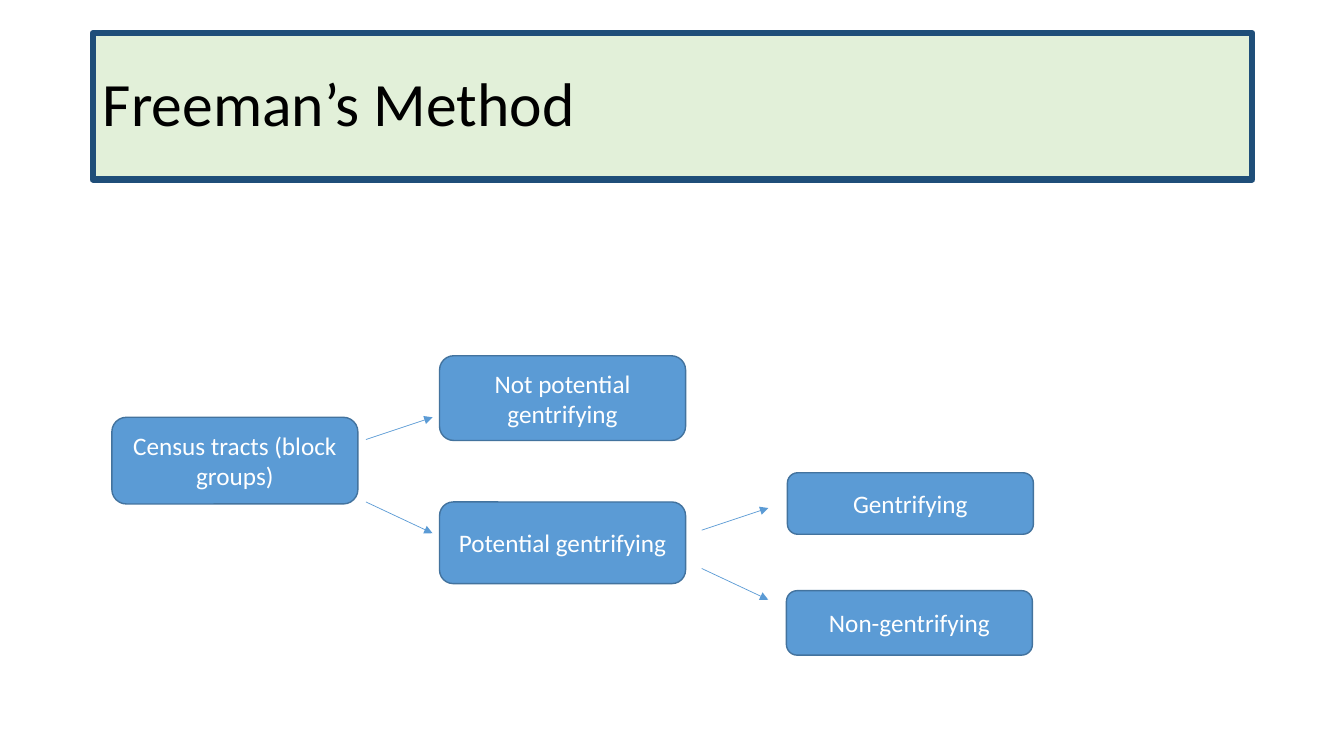
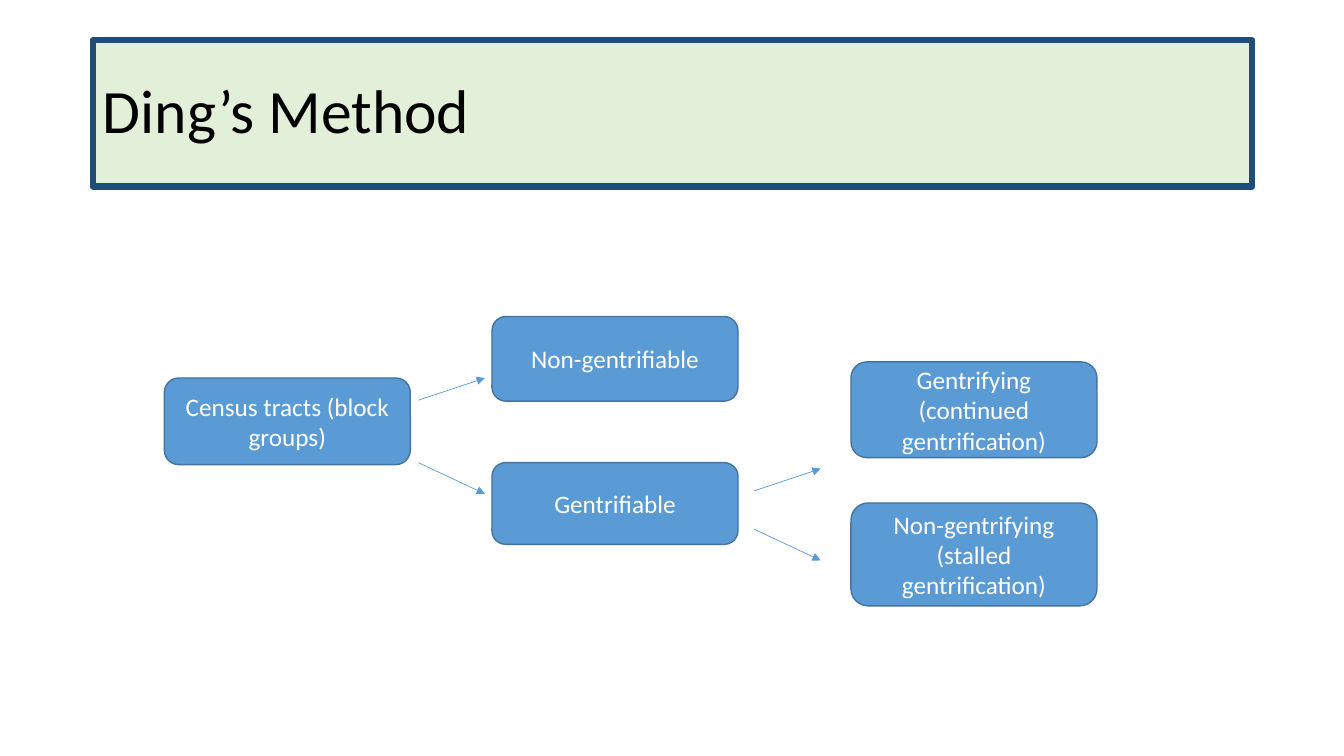
from pptx import Presentation
from pptx import util as u
from pptx.dml.color import RGBColor
from pptx.enum import shapes, text
from pptx.oxml import ns
from lxml import etree

COLORS = {
    "title_fill": "E2F0D9",
    "title_line": "1F4E79",
    "title_text": "000000",
    "box_fill": "5B9BD5",
    "box_line": "43739E",
    "box_text": "FFFFFF",
    "arrow": "5B9BD5",
}
FONT = "Calibri"
BOX_WIDTH = 2.44
BRANCH_LEFT = 3.25
# Upper and lower boxes of the first split: top and height within the tree
BRANCH_ROWS = [(0, 0.84), (1.45, 0.81)]
ROOT_TOP, ROOT_HEIGHT = 0.61, 0.86
# Each fork: left, start of the rising arrow, start of the falling arrow
FORKS = [(2.52, 0.83, 1.45), (5.85, 1.73, 2.11)]
ARROW_WIDTH, ARROW_RISE, ARROW_FALL = 0.66, -0.22, 0.31


def color(name):
    return RGBColor.from_string(COLORS[name])


class Deck:
    def __init__(self):
        self.presentation = Presentation()
        self.presentation.slide_width = u.Inches(13.33)
        self.presentation.slide_height = u.Inches(7.5)
        self.slide = None

    def paint(self, shape, role, line_width):
        shape.fill.solid()
        shape.fill.fore_color.rgb = color(role + "_fill")
        shape.line.color.rgb = color(role + "_line")
        shape.line.width = u.Pt(line_width)

    def set_text(self, shape, lines, role, size, alignment):
        frame = shape.text_frame
        frame.text = "\n".join(lines)
        frame.word_wrap = True
        frame.auto_size = text.MSO_AUTO_SIZE.NONE
        frame.vertical_anchor = text.MSO_ANCHOR.MIDDLE
        for paragraph in frame.paragraphs:
            paragraph.alignment = alignment
            paragraph.font.name = FONT
            paragraph.font.size = u.Pt(size)
            paragraph.font.color.rgb = color(role + "_text")

    def add_slide(self, title, top):
        """Start a slide with its title band."""
        layout = self.presentation.slide_layouts.get_by_name("Title Only")
        self.slide = self.presentation.slides.add_slide(layout)
        band = self.slide.shapes.title
        band.left, band.top = u.Inches(0.92), u.Inches(top)
        band.width, band.height = u.Inches(11.5), u.Inches(1.45)
        self.paint(band, "title", 4.5)
        self.set_text(band, [title], "title", 44, text.PP_ALIGN.LEFT)
        band.text_frame.paragraphs[0].line_spacing = 0.9

    def add_box(self, lines, left, top, height):
        box = self.slide.shapes.add_shape(
            shapes.MSO_SHAPE.ROUNDED_RECTANGLE, u.Inches(left), u.Inches(top),
            u.Inches(BOX_WIDTH), u.Inches(height))
        box.shadow.inherit = False
        self.paint(box, "box", 1)
        self.set_text(box, lines, "box", 18, text.PP_ALIGN.CENTER)

    def add_arrow(self, left, top, rise):
        arrow = self.slide.shapes.add_connector(
            shapes.MSO_CONNECTOR.STRAIGHT, u.Inches(left), u.Inches(top),
            u.Inches(left + ARROW_WIDTH), u.Inches(top + rise))
        arrow.line.color.rgb = color("arrow")
        arrow.line.width = u.Pt(0.5)
        properties = arrow.element.spPr
        line = properties.find(ns.qn("a:ln"))
        etree.SubElement(line, ns.qn("a:tailEnd"), type="triangle")
        etree.SubElement(properties, ns.qn("a:effectLst"))

    def add_tree(self, left, top, branches, outcomes):
        """Draw census tracts splitting into branches, the lower into outcomes.

        Outcomes are (lines, left, top, height), placed within the tree.
        """
        self.add_box(["Census tracts (block groups)"],
                     left, top + ROOT_TOP, ROOT_HEIGHT)
        for label, (row_top, height) in zip(branches, BRANCH_ROWS):
            self.add_box([label], left + BRANCH_LEFT, top + row_top, height)
        for lines, box_left, box_top, height in outcomes:
            self.add_box(lines, left + box_left, top + box_top, height)
        for fork_left, upper, lower in FORKS:
            self.add_arrow(left + fork_left, top + upper, ARROW_RISE)
            self.add_arrow(left + fork_left, top + lower, ARROW_FALL)


def main():
    deck = Deck()

    deck.add_slide("Freeman’s Method", 0.33)
    deck.add_tree(
        1.11, 3.53, ["Not potential gentrifying", "Potential gentrifying"],
        [(["Gentrifying"], 6.7, 1.16, 0.61),
         (["Non-gentrifying"], 6.69, 2.33, 0.64)])

    deck.add_slide("Ding’s Method", 0.4)
    deck.add_tree(
        1.63, 3.14, ["Non-gentrifiable", "Gentrifiable"],
        [(["Gentrifying", "(continued gentrification)"], 6.81, 0.45, 0.95),
         (["Non-gentrifying", "(stalled gentrification)"], 6.81, 1.85, 1.02)])

    deck.presentation.save("out.pptx")


if __name__ == "__main__":
    main()
